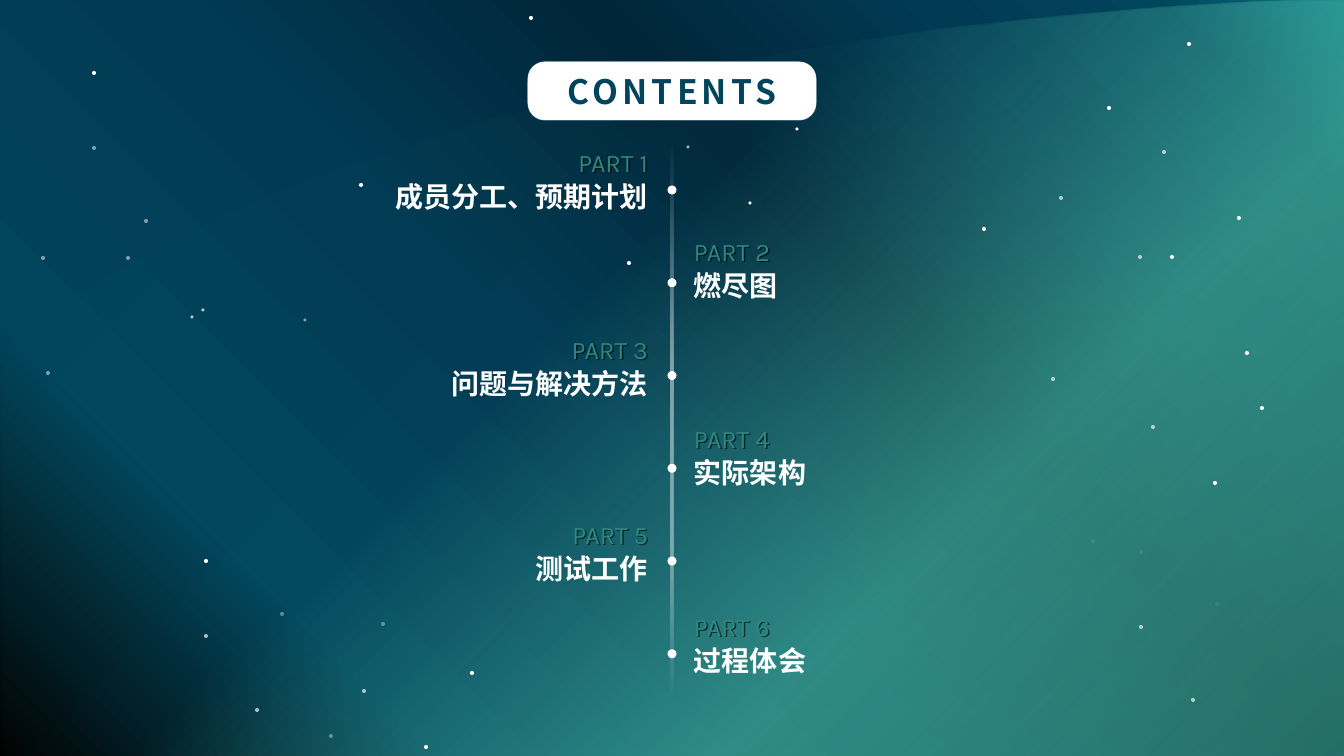
from pptx import Presentation, util as u
from pptx.dml.color import RGBColor
from pptx.enum import shapes, text
from pptx.oxml.ns import qn
from lxml import etree

PIXEL = 914400 / 100.8
WIDTH, HEIGHT = 1344, 756

WHITE = RGBColor(0xFF, 0xFF, 0xFF)
NAVY = RGBColor(0x01, 0x45, 0x5C)
INK = RGBColor(0x01, 0x3A, 0x53)
MIDNIGHT = RGBColor(0x00, 0x26, 0x39)
BLACK = RGBColor(0x00, 0x00, 0x00)
LAGOON = RGBColor(0x0A, 0x74, 0x85)
MINT = RGBColor(0x4C, 0xBD, 0xA4)
LIGHT_MINT = RGBColor(0x53, 0xC0, 0xA8)
GREEN = RGBColor(0x32, 0x88, 0x75)
TEAL = RGBColor(0x2E, 0x88, 0x80)

LATIN, CHINESE = "Karla", "Noto Sans CJK SC"


def px(value):
    return u.Emu(round(value * PIXEL))


def add_alpha(color_element, percent):
    if percent < 100:
        etree.SubElement(color_element, qn("a:alpha"), val=str(percent * 1000))


def set_gradient(fill, owner, stops, angle):
    """Each stop is (position, colour, opacity), position and opacity in percent."""
    fill.gradient()
    fill.gradient_angle = 360 - angle
    stop_list = next(owner.iter(qn("a:gsLst")))
    for old_stop in list(stop_list):
        stop_list.remove(old_stop)
    for position, color, opacity in stops:
        stop = etree.SubElement(stop_list, qn("a:gs"), pos=str(position * 1000))
        add_alpha(etree.SubElement(stop, qn("a:srgbClr"), val=str(color)), opacity)


class Canvas:
    def __init__(self, slide):
        self.slide = slide

    def background(self, stops, angle):
        set_gradient(self.slide.background.fill, self.slide.element, stops, angle)

    def shape(self, kind, left, top, width, height, color=WHITE, opacity=100):
        shape = self.slide.shapes.add_shape(kind, px(left), px(top), px(width), px(height))
        shape.shadow.inherit = False
        shape.line.fill.background()
        shape.fill.solid()
        shape.fill.fore_color.rgb = color
        add_alpha(next(shape.element.spPr.iter(qn("a:srgbClr"))), opacity)
        return shape

    def dot(self, x, y, size, opacity=100):
        return self.shape(shapes.MSO_SHAPE.OVAL, x - size / 2, y - size / 2,
                          size, size, opacity=opacity)

    def outline(self, points, stops, angle):
        builder = self.slide.shapes.build_freeform(*points[0], scale=PIXEL)
        builder.add_line_segments(points[1:], close=True)
        shape = builder.convert_to_shape()
        shape.shadow.inherit = False
        shape.line.fill.background()
        set_gradient(shape.fill, shape.element.spPr, stops, angle)

    def style(self, paragraph, size, font, color, align, bold=False):
        paragraph.alignment = align
        paragraph.font.size = u.Pt(size)
        paragraph.font.bold = bold
        paragraph.font.color.rgb = color
        paragraph.font.name = font
        properties = next(paragraph._p.iter(qn("a:defRPr")))
        etree.SubElement(properties, qn("a:ea"), typeface=font)
        return properties

    def text(self, words, left, top, width, height, *style):
        box = self.slide.shapes.add_textbox(px(left), px(top), px(width), px(height))
        box.text_frame.word_wrap = True
        box.text_frame.auto_size = text.MSO_AUTO_SIZE.SHAPE_TO_FIT_TEXT
        paragraph = box.text_frame.paragraphs[0]
        paragraph.text = words
        self.style(paragraph, *style)
        return box

    def text_shadow(self, box):
        """An unfilled box casts the shadow of its letters."""
        effects = etree.SubElement(box.element.spPr, qn("a:effectLst"))
        shadow = etree.SubElement(effects, qn("a:outerShdw"), dist="19050", dir="2700000",
                                  algn="tl", rotWithShape="0")
        add_alpha(etree.SubElement(shadow, qn("a:srgbClr"), val=str(BLACK)), 60)

    def title(self, words, left, top, width, height):
        title = self.slide.shapes.title
        title.left, title.top, title.width, title.height = map(px, (left, top, width, height))
        title.text_frame.text = words
        title.text_frame.vertical_anchor = text.MSO_ANCHOR.MIDDLE
        properties = self.style(title.text_frame.paragraphs[0], 24, CHINESE, NAVY,
                                text.PP_ALIGN.CENTER, True)
        properties.set("spc", "300")
        # Bring the title in front of its pill
        self.slide.shapes.element.append(title.element)


presentation = Presentation()
presentation.slide_width, presentation.slide_height = px(WIDTH), px(HEIGHT)
canvas = Canvas(presentation.slides.add_slide(presentation.slide_layouts[5]))

# Night sky with a green glow below a curved edge
canvas.background([(0, LAGOON, 100), (9, NAVY, 100), (20, INK, 100), (36, MIDNIGHT, 100),
                   (56, INK, 100), (79, NAVY, 100), (100, BLACK, 100)], 135)


def bezier(start, control_1, control_2, end, steps=48):
    for step in range(steps + 1):
        t = step / steps
        weights = ((1 - t) ** 3, 3 * t * (1 - t) ** 2, 3 * t ** 2 * (1 - t), t ** 3)
        yield tuple(sum(weight * value for weight, value in zip(weights, axis))
                    for axis in zip(start, control_1, control_2, end))


glow_edge = list(bezier((1294, 1), (742, 22), (273, 148), (33, 326)))
canvas.outline([(1343, 0), *glow_edge, (3, 349), (3, HEIGHT), (1343, HEIGHT)],
               [(0, MINT, 0), (42, LIGHT_MINT, 2), (70, MINT, 61), (100, GREEN, 73)], 45)

# Stars: (size, opacity) -> centres
STARS = {
    (4, 100): [(531, 18), (629, 263), (94, 73), (361, 185), (206, 561), (426, 747),
               (472, 673), (1247, 353), (1239, 218), (984, 229), (1109, 108), (1189, 44),
               (1172, 257), (1215, 483), (1262, 408)],
    (3, 100): [(750, 203), (797, 129)],
    (4, 64): [(531, 93), (206, 636), (257, 710), (364, 691), (1053, 379), (1141, 627),
              (1193, 700), (1140, 257), (1153, 427), (1061, 198), (1164, 152)],
    (3, 64): [(582, 166), (688, 147)],
    (3, 73): [(192, 317), (203, 310)],
    (4, 49): [(94, 148), (146, 221), (48, 373), (43, 258), (128, 258)],
    (3, 49): [(305, 320)],
    (4, 35): [(282, 614), (383, 624), (331, 736)],
    (4, 8): [(1141, 552), (1217, 604), (1093, 541)],
}
# Two stars lie behind the title pill and the first label
HIDDEN_STARS = {(531, 93), (582, 166)}
for (size, opacity), centres in STARS.items():
    for x, y in centres:
        if (x, y) not in HIDDEN_STARS:
            canvas.dot(x, y, size, opacity)

# Title pill
pill = canvas.shape(shapes.MSO_SHAPE.ROUNDED_RECTANGLE, 528, 62, 288, 58)
pill.adjustments[0] = 0.29
pill.line.color.rgb = WHITE
pill.line.width = u.Pt(0.75)
add_alpha(next(pill.line._get_or_add_ln().iter(qn("a:srgbClr"))), 67)
canvas.title("CONTENTS", 533, 66, 278, 50)

# Timeline
AXIS = WIDTH / 2
timeline = canvas.shape(shapes.MSO_SHAPE.RECTANGLE, AXIS - 1.5, 143, 3, 555)
set_gradient(timeline.fill, timeline.element.spPr,
             [(0, WHITE, 0), (39, WHITE, 48), (73, WHITE, 43), (100, WHITE, 0)], 90)

# Parts alternate left and right of the timeline: (name, top, name width)
PARTS = [("成员分工、预期计划", 142, 325), ("燃尽图", 231, 255), ("问题与解决方法", 329, 230),
         ("实际架构", 418, 173), ("测试工作", 514, 173), ("过程体会", 606, 173)]
LABEL_WIDTH, LEFT_EDGE, RIGHT_EDGE = 173, 658, 684
for index, (name, top, name_width) in enumerate(PARTS):
    canvas.dot(AXIS, 190 + 92.75 * index, 9)
    on_left = index % 2 == 0
    align = text.PP_ALIGN.RIGHT if on_left else text.PP_ALIGN.LEFT
    label_left, name_left = (LEFT_EDGE - width if on_left else RIGHT_EDGE
                             for width in (LABEL_WIDTH, name_width))
    label = canvas.text(f"PART {index + 1}", label_left, top, LABEL_WIDTH, 40,
                        18, LATIN, TEAL, align)
    canvas.text_shadow(label)
    canvas.text(name, name_left, top + 33, name_width, 44, 20, CHINESE, WHITE, align, True)

presentation.save("out.pptx")
